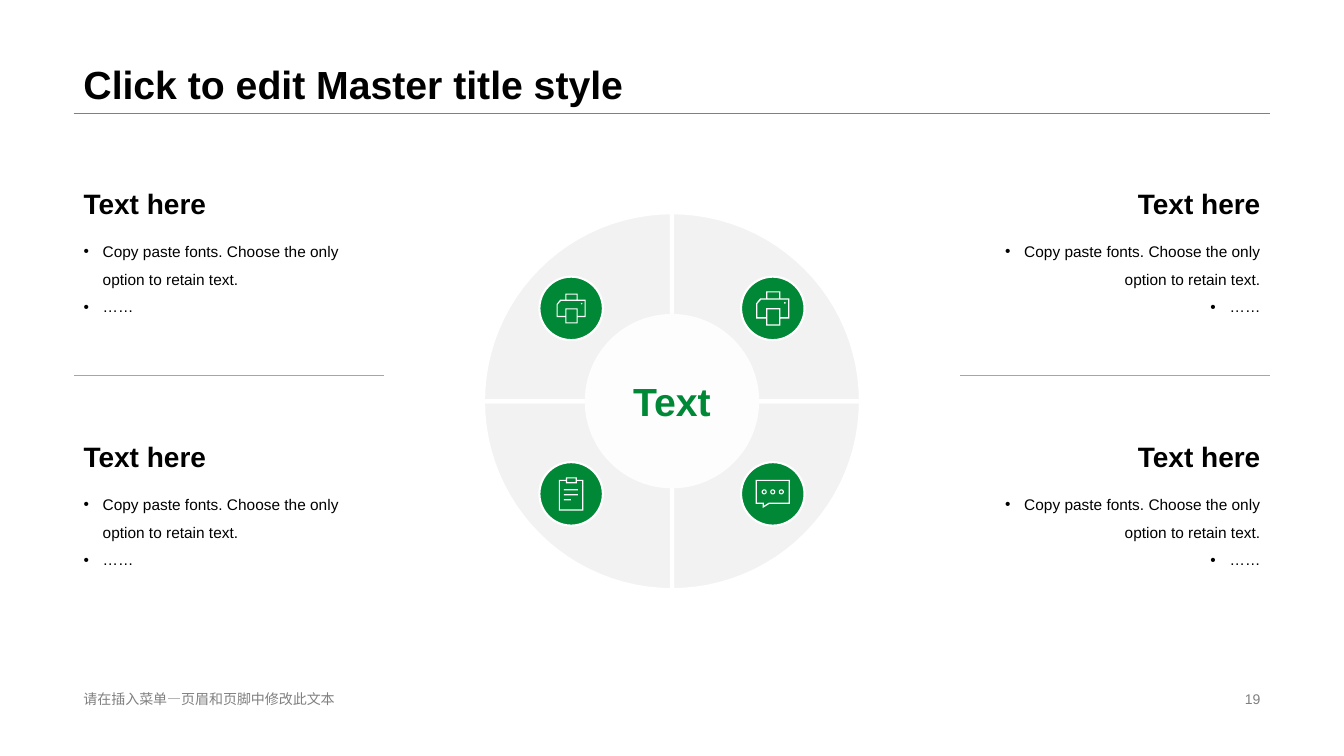
from math import cos, pi, sin

from lxml.etree import SubElement
from pptx import Presentation
from pptx.dml.color import RGBColor
from pptx.enum.shapes import MSO_CONNECTOR as CONN, MSO_SHAPE as SHAPE
from pptx.enum.text import MSO_ANCHOR as ANCHOR, PP_ALIGN as ALIGN
from pptx.oxml.ns import qn
from pptx.util import Inches, Pt

WHITE = RGBColor(0xFF, 0xFF, 0xFF)
BLACK = RGBColor(0, 0, 0)
GREEN = RGBColor(0x00, 0x88, 0x37)
PALE = RGBColor(0xF2, 0xF2, 0xF2)
HUB = RGBColor(0xFD, 0xFD, 0xFE)
GRAY = RGBColor(0x80, 0x80, 0x80)
RULE = RGBColor(0xA6, 0xA6, 0xA6)

LEFT, RIGHT = 0.73, 12.6
COLUMN_W, RULE_W = 3.18, 3.08
BULLETS = ["Copy paste fonts. Choose the only option to retain text.", "……"]


def arc(cx, cy, radius, start=0.0, sweep=2 * pi, steps=24):
    """Return points along a circular arc."""
    angles = [start + sweep * i / steps for i in range(steps + 1)]
    return [(cx + radius * cos(a), cy + radius * sin(a)) for a in angles]


def rect(x1, y1, x2, y2):
    """Return the corners of a rectangle."""
    return [(x1, y1), (x2, y1), (x2, y2), (x1, y2)]


PRINTER = [
    [(24, 0), (24, 7), (33, 7), (33, 27), (24, 27), (24, 34), (10, 34),
     (10, 27), (0, 27), (0, 12), (4, 7), (10, 7), (10, 0)],
    rect(11.2, 18, 22.8, 32.8),
    [(31.8, 8.4), (4.8, 8.4), (1.2, 12.4), (1.2, 25.6), (10, 25.6),
     (10, 16.8), (24, 16.8), (24, 25.6), (31.8, 25.6)],
    arc(28.5, 11.5, 0.8),
    rect(11.2, 1.2, 22.8, 7),
]
CLIPBOARD = [
    [(18, 0), (18, 2.5), (24.5, 2.5), (24.5, 33), (0, 33), (0, 2.5),
     (7, 2.5), (7, 0)],
    [(7, 3.7), (1.2, 3.7), (1.2, 31.8), (23.3, 31.8), (23.3, 3.7),
     (18, 3.7), (18, 6), (7, 6)],
    rect(5, 21.8, 12, 23),
    rect(5, 16.8, 19, 18),
    rect(5, 11.8, 19, 13),
    rect(8.2, 1.2, 16.8, 4.8),
]
CHAT = [
    [(34, 0), (34, 24), (13.5, 24), (7, 28), (7, 24), (0, 24), (0, 0)],
    [(32.8, 1.2), (1.2, 1.2), (1.2, 22.8), (8.2, 22.8), (8.2, 25.8),
     (13, 22.8), (32.8, 22.8)],
    *[arc(x, 12, r) for x in (8.5, 17, 25.5) for r in (2.5, 1.4)],
]


def add_text(slide, box, lines, size=11, color=BLACK, bold=False,
             align=ALIGN.LEFT, anchor=ANCHOR.MIDDLE, spacing=None,
             bullet=False, sp=None):
    """Write lines of text in a new box or in the given shape."""
    sp = sp or slide.shapes.add_textbox(*map(Inches, box))
    tf = sp.text_frame
    tf.word_wrap = True
    tf.vertical_anchor = anchor
    for i, line in enumerate(lines):
        p = tf.add_paragraph() if i else tf.paragraphs[0]
        p.alignment = align
        if spacing:
            p.line_spacing = spacing
        if bullet:
            pPr = p._p.get_or_add_pPr()
            pPr.set("marL", str(Inches(0.19)))
            pPr.set("indent", str(-Inches(0.19)))
            SubElement(pPr, qn("a:buFont")).set("typeface", "Arial")
            SubElement(pPr, qn("a:buChar")).set("char", "•")
        r = p.add_run()
        r.text = line
        r.font.name = "Arial"
        r.font.size = Pt(size)
        r.font.bold = bold
        r.font.color.rgb = color


def paint(sp, fill, line=None, width=0):
    """Set the fill and outline of a shape and drop its shadow."""
    sp.shadow.inherit = False
    sp.fill.solid()
    sp.fill.fore_color.rgb = fill
    if line is None:
        sp.line.fill.background()
    else:
        sp.line.color.rgb = line
        sp.line.width = Pt(width)
    return sp


def add_outline(slide, contours, x=0, y=0, scale=1.0):
    """Build one freeform from closed contours placed at x, y."""
    builder = None
    for contour in contours:
        start, *rest = [(Inches(x + px * scale), Inches(y + py * scale))
                        for px, py in contour]
        if builder is None:
            builder = slide.shapes.build_freeform(*start)
        else:
            builder.move_to(*start)
        builder.add_line_segments(rest, close=True)
    return builder.convert_to_shape()


def add_disc(slide, cx, cy, d, *style):
    """Add a circle centred on a point."""
    box = map(Inches, (cx - d / 2, cy - d / 2, d, d))
    return paint(slide.shapes.add_shape(SHAPE.OVAL, *box), *style)


def add_rule(slide, x, y, width, color):
    """Draw a thin horizontal line."""
    ends = map(Inches, (x, y, x + width, y))
    line = slide.shapes.add_connector(CONN.STRAIGHT, *ends)
    line.line.color.rgb = color
    line.line.width = Pt(0.25)
    SubElement(line._element.spPr, qn("a:effectLst"))


def add_frame(slide, x, width):
    """Add the title with its rule, the footer and the page number."""
    add_rule(slide, x, 1.12, width, GRAY)
    add_text(slide, (x, 0, width, 1.12), ["Click to edit Master title style"],
             size=28, bold=True, anchor=ANCHOR.BOTTOM, spacing=0.9)
    add_text(slide, (x, 6.82, 4.53, 0.23),
             ["请在插入菜单—页眉和页脚中修改此文本"], size=10, color=GRAY)
    add_text(slide, (x + width - COLUMN_W, 6.82, COLUMN_W, 0.23), ["19"],
             size=10, color=GRAY, align=ALIGN.RIGHT)


def add_wheel(slide, cx, cy, radius):
    """Add the four-part ring with its hub and icon badges."""
    for quarter in range(4):
        edge = arc(cx, cy, radius, quarter * pi / 2, pi / 2)
        paint(add_outline(slide, [[(cx, cy)] + edge]), PALE, WHITE, 3)
    hub = add_disc(slide, cx, cy, 1.73, HUB)
    add_text(slide, None, ["Text"], size=28, color=GREEN, bold=True,
             align=ALIGN.CENTER, sp=hub)
    badges = [(-1, -1, PRINTER, 0.0087), (1, -1, PRINTER, 0.01),
              (-1, 1, CLIPBOARD, 0.01), (1, 1, CHAT, 0.01)]
    for dx, dy, icon, scale in badges:
        x, y = cx + dx, cy + dy * 0.92
        add_disc(slide, x, y, 0.63, GREEN, WHITE, 1.5)
        w, h = (max(pt[axis] for pt in icon[0]) * scale for axis in (0, 1))
        paint(add_outline(slide, icon, x - w / 2, y - h / 2, scale), WHITE)


def add_note(slide, x, y, align):
    """Add a heading with its bullets below."""
    add_text(slide, (x, y, COLUMN_W, 0.48), ["Text here"], size=20,
             bold=True, align=align)
    add_text(slide, (x, y + 0.48, COLUMN_W, 0.95), BULLETS, align=align,
             anchor=ANCHOR.TOP, spacing=1.5, bullet=True)


def main():
    """Build the slide and save it."""
    prs = Presentation()
    prs.slide_width, prs.slide_height = Inches(13.33), Inches(7.5)
    slide = prs.slides.add_slide(prs.slide_layouts[6])
    add_frame(slide, LEFT, RIGHT - LEFT)
    add_wheel(slide, 6.665, 3.98, 1.875)
    for x, rule_x, align in ((LEFT, LEFT, ALIGN.LEFT),
                             (RIGHT - COLUMN_W, RIGHT - RULE_W, ALIGN.RIGHT)):
        add_rule(slide, rule_x, 3.72, RULE_W, RULE)
        for y in (1.78, 4.29):
            add_note(slide, x, y, align)
    prs.save("out.pptx")


if __name__ == "__main__":
    main()
